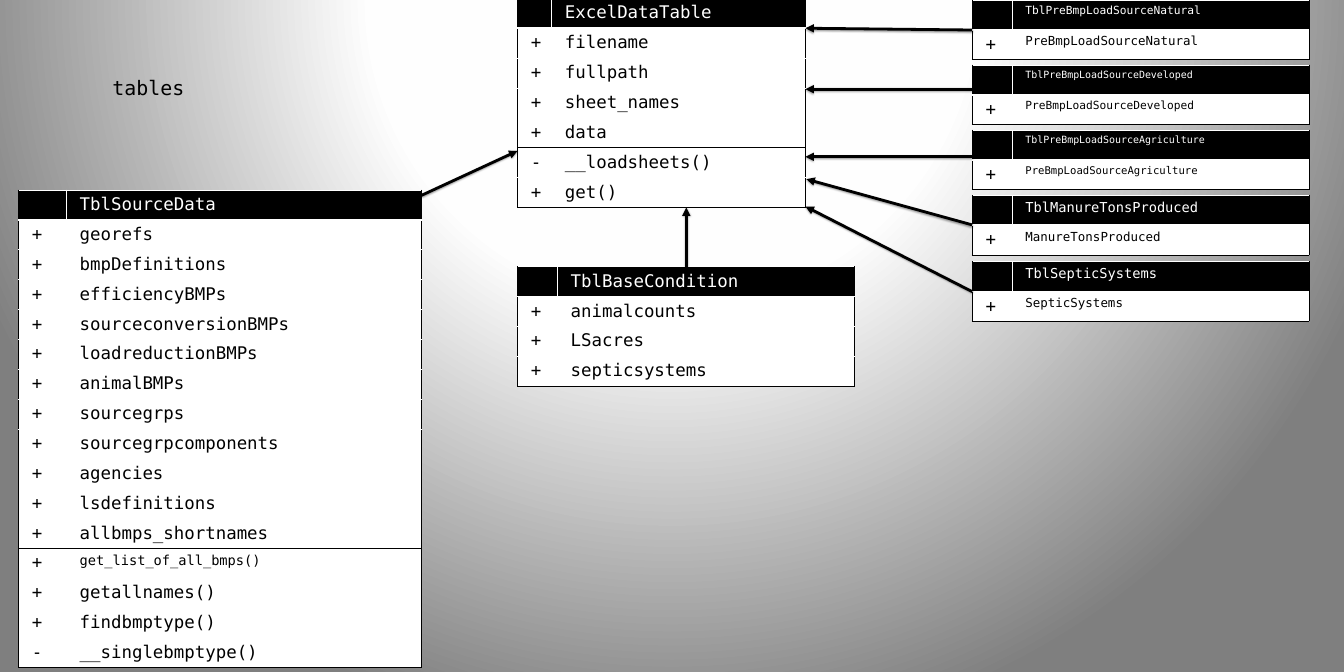
from pptx import Presentation
from pptx import util as u
from pptx.dml.color import RGBColor
from pptx.enum import shapes, text
from pptx.oxml import parse_xml
from pptx.oxml.ns import nsdecls

PX = 9144
COLORS = {"ink": "000000", "paper": "FFFFFF", "glow": "FEFEFE", "edge": "7F7F7F"}
SIZES = {
    "get_list_of_all_bmps()": 22,
    "TblPreBmpLoadSourceNatural": 18, "PreBmpLoadSourceNatural": 20,
    "TblPreBmpLoadSourceDeveloped": 16, "PreBmpLoadSourceDeveloped": 18,
    "TblPreBmpLoadSourceAgriculture": 16, "PreBmpLoadSourceAgriculture": 17,
    "TblManureTonsProduced": 22, "ManureTonsProduced": 20,
    "TblSepticSystems": 22, "SepticSystems": 20,
}
SOURCE_FIELDS = [
    "georefs", "bmpDefinitions", "efficiencyBMPs", "sourceconversionBMPs",
    "loadreductionBMPs", "animalBMPs", "sourcegrps", "sourcegrpcomponents",
    "agencies", "lsdefinitions", "allbmps_shortnames",
]
SOURCE_METHODS = ["get_list_of_all_bmps()", "getallnames()", "findbmptype()", "__singlebmptype()"]
LOAD_TABLES = {
    "PreBmpLoadSourceNatural": 0,
    "PreBmpLoadSourceDeveloped": 145,
    "PreBmpLoadSourceAgriculture": 290,
    "ManureTonsProduced": 436,
    "SepticSystems": 584,
}
ARROWS = [
    (1532, 595, 1532, 463),
    (941, 436, 1155, 337),
    (2170, 67, 1798, 63),
    (2170, 199, 1798, 199),
    (2170, 350, 1798, 350),
    (2170, 502, 1800, 400),
    (2170, 651, 1798, 461),
]


def px(value):
    return u.Emu(value * PX)


class ClassDiagram:
    font = "DejaVu Sans Mono"
    size = 28

    def __init__(self, slide):
        self.slide = slide

    def background(self):
        stops = "".join(
            f'<a:gs pos="{position}"><a:srgbClr val="{COLORS[name]}"/></a:gs>'
            for position, name in [(0, "paper"), (40000, "glow"), (100000, "edge")]
        )
        self.slide._element.cSld.insert(0, parse_xml(
            f'<p:bg {nsdecls("p", "a")}><p:bgPr><a:gradFill rotWithShape="1"><a:gsLst>{stops}</a:gsLst>'
            '<a:path path="circle"><a:fillToRect l="50000" t="-80000" r="50000" b="180000"/></a:path>'
            '</a:gradFill><a:effectLst/></p:bgPr></p:bg>'
        ))

    def set_text(self, frame, words, size, color):
        frame.text = words
        for span in frame.paragraphs[0].runs:
            span.font.name = self.font
            span.font.size = u.Pt(size)
            span.font.color.rgb = RGBColor.from_string(COLORS[color])

    def label(self, words, left, top, width, height, size):
        box = self.slide.shapes.add_textbox(px(left), px(top), px(width), px(height))
        frame = box.text_frame
        frame.word_wrap = False
        frame.auto_size = text.MSO_AUTO_SIZE.SHAPE_TO_FIT_TEXT
        frame.margin_left = frame.margin_right = px(20)
        frame.margin_top = frame.margin_bottom = px(10)
        self.set_text(frame, words, size, "ink")

    def cell(self, cell, words, size, color, fill, borders):
        cell.margin_left = cell.margin_right = px(30)
        cell.margin_top = cell.margin_bottom = px(10)
        self.set_text(cell.text_frame, words, size, color)
        properties = cell._tc.get_or_add_tcPr()
        for side, (line, points) in zip("LRTB", borders):
            paint = (f'<a:solidFill><a:srgbClr val="{COLORS[line]}"/></a:solidFill>'
                     if line else "<a:noFill/>")
            properties.append(parse_xml(
                f'<a:ln{side} {nsdecls("a")} w="{u.Pt(points)}">{paint}</a:ln{side}>'))
        cell.fill.solid()
        cell.fill.fore_color.rgb = RGBColor.from_string(COLORS[fill])

    def class_table(self, name, fields, methods, left, top, columns, height, bare=()):
        members = [name, *fields, *methods]
        last = len(members) - 1
        rules = [("paper", 1), ("paper", 3)]
        for row in range(1, last + 1):
            if row in (len(fields), last):
                rules.append(("ink", 1))
            else:
                rules.append((None if row in bare else "paper", 1))
        frame = self.slide.shapes.add_table(
            len(members), 2, px(left), px(top), px(sum(columns)), px(height))
        table = frame.table
        table.first_row = table.horz_banding = False
        for column, width in zip(table.columns, columns):
            column.width = px(width)
        for row, member in enumerate(members):
            color, fill = ("ink", "paper") if row else ("paper", "ink")
            sign = ("-" if member.startswith("__") else "+") if row else ""
            sides = rules[row:row + 2]
            self.cell(table.cell(row, 0), sign, self.size, color, fill,
                      [("ink", 1), ("paper", 1), *sides])
            self.cell(table.cell(row, 1), member, SIZES.get(member, self.size), color, fill,
                      [("paper", 1), ("ink", 1), *sides])

    def arrow(self, *ends):
        line = self.slide.shapes.add_connector(
            shapes.MSO_CONNECTOR.STRAIGHT, *[px(end) for end in ends])
        line.line.color.rgb = RGBColor.from_string(COLORS["ink"])
        line.line.width = u.Pt(4.5)
        line.line._get_or_add_ln().append(
            parse_xml(f'<a:tailEnd {nsdecls("a")} type="triangle"/>'))
        line._element.spPr.append(parse_xml(
            f'<a:effectLst {nsdecls("a")}><a:outerShdw blurRad="40000" dist="20000" dir="5400000" '
            f'rotWithShape="0"><a:srgbClr val="{COLORS["ink"]}"><a:alpha val="38000"/></a:srgbClr>'
            '</a:outerShdw></a:effectLst>'
        ))


def main():
    deck = Presentation()
    deck.slide_width, deck.slide_height = px(3000), px(1500)
    page = ClassDiagram(deck.slides.add_slide(deck.slide_layouts[6]))
    page.background()
    page.class_table("ExcelDataTable", ["filename", "fullpath", "sheet_names", "data"],
                     ["__loadsheets()", "get()"], 1155, -4, (76, 567), 467, bare={3})
    page.class_table("TblSourceData", SOURCE_FIELDS, SOURCE_METHODS,
                     41, 424, (107, 793), 1067, bare={8, 9, 10, 12, 13, 14})
    page.class_table("TblBaseCondition", ["animalcounts", "LSacres", "septicsystems"], [],
                     1155, 595, (89, 663), 267)
    for field, top in LOAD_TABLES.items():
        page.class_table("Tbl" + field, [field], [], 2170, top, (89, 663), 133)
    for ends in ARROWS:
        page.arrow(*ends)
    page.label("tables", 231, 159, 202, 74, 32)
    deck.save("out.pptx")


if __name__ == "__main__":
    main()
